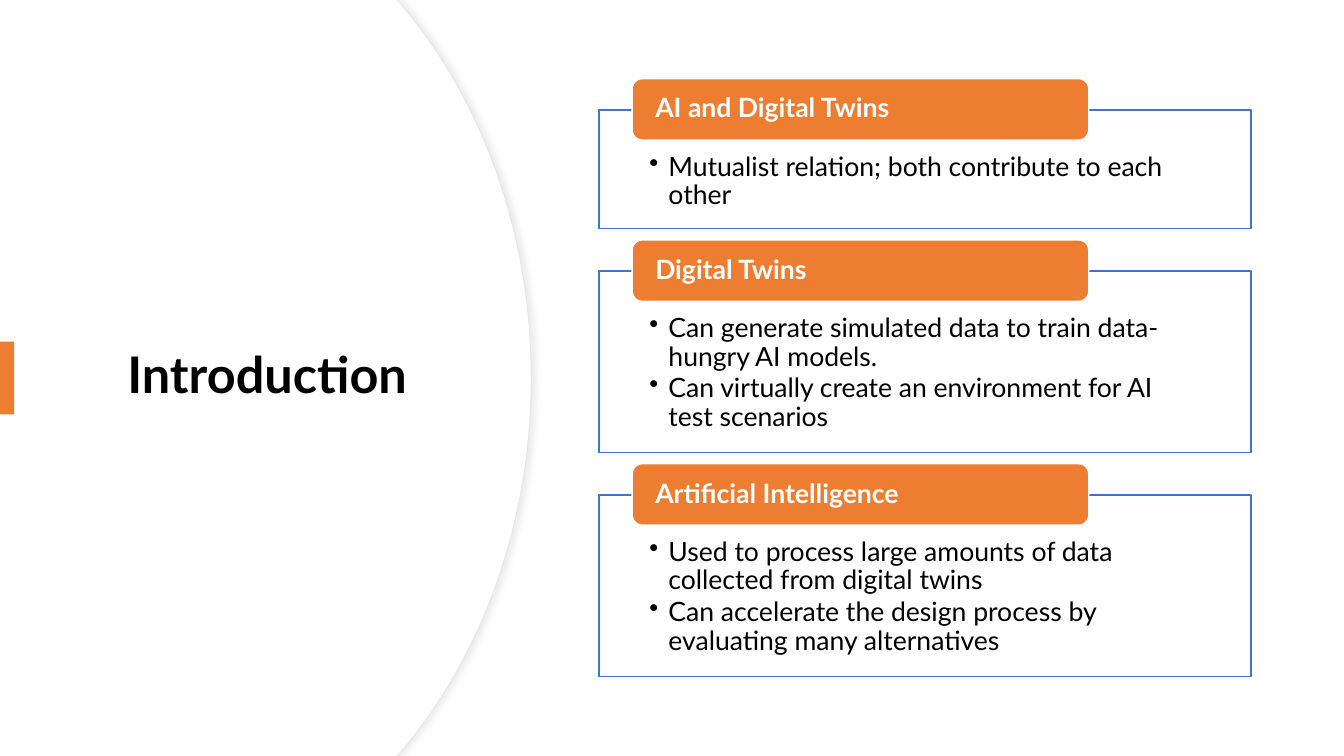
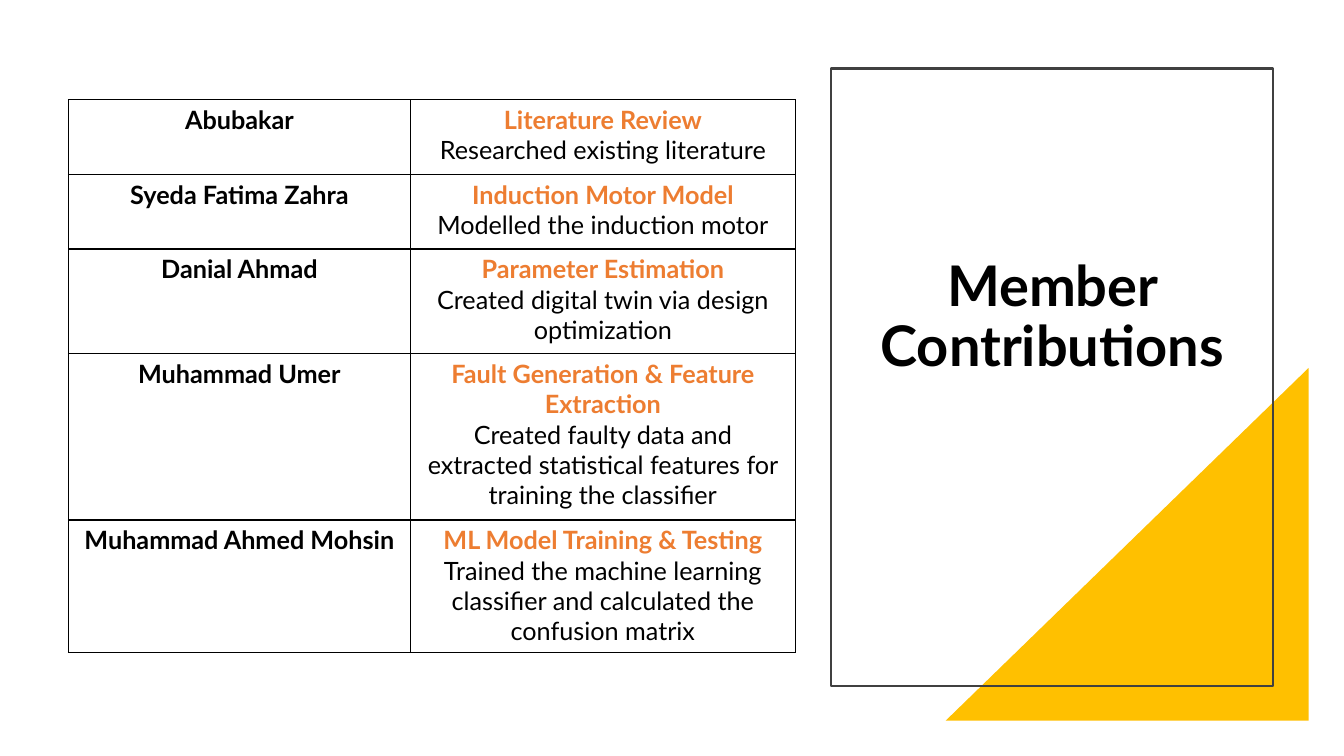
from lxml import etree
from pptx import Presentation
from pptx.dml.color import RGBColor
from pptx.enum import shapes, text
from pptx.oxml import ns
from pptx.util import Inches, Pt

FONT = "Lato"
ORANGE, AMBER, BLUE = "ED7D31", "FFC000", "4472C4"
BLACK, WHITE, GREY = "000000", "FFFFFF", "404040"
EDGE, SHADE = "E6E6E6", "D9D9D9"
SLIDE_W, SLIDE_H = 13.33, 7.5

CARDS = [
    ("AI and Digital Twins", ["Mutualist relation; both contribute to each other"]),
    ("Digital Twins", ["Can generate simulated data to train data-hungry AI models.",
                       "Can virtually create an environment for AI test scenarios"]),
    ("Artificial Intelligence", ["Used to process large amounts of data collected from digital twins",
                                 "Can accelerate the design process by evaluating many alternatives"]),
]
MEMBERS = [
    ("Abubakar", "Literature Review", "Researched existing literature", 0.74),
    ("Syeda Fatima Zahra", "Induction Motor Model", "Modelled the induction motor", 0.74),
    ("Danial Ahmad", "Parameter Estimation", "Created digital twin via design optimization", 1.04),
    ("Muhammad Umer", "Fault Generation & Feature Extraction",
     "Created faulty data and extracted statistical features for training the classifier", 1.65),
    ("Muhammad Ahmed Mohsin", "ML Model Training & Testing",
     "Trained the machine learning classifier and calculated the confusion matrix", 1.31),
]


# Shared helpers
def rgb(value):
    return RGBColor.from_string(value)


def sub(parent, tag, **attrs):
    return etree.SubElement(parent, ns.qn(tag), {k: str(v) for k, v in attrs.items()})


def paint(sp, fill=None, line=None, width=1):
    sp.shadow.inherit = False
    if fill:
        sp.fill.solid()
        sp.fill.fore_color.rgb = rgb(fill)
    else:
        sp.fill.background()
    if line:
        sp.line.color.rgb = rgb(line)
        sp.line.width = Pt(width)
    else:
        sp.line.fill.background()


def add_box(s, kind, box, fill=None, line=None, width=1):
    sp = s.shapes.add_shape(kind, *map(Inches, box))
    paint(sp, fill, line, width)
    return sp


def frame(sp, insets, anchor):
    tf = sp.text_frame
    tf.word_wrap = True
    tf.vertical_anchor = anchor
    tf.margin_left, tf.margin_top, tf.margin_right, tf.margin_bottom = map(Inches, insets)
    return tf


def paragraph(tf, i):
    return tf.add_paragraph() if i else tf.paragraphs[0]


def write(p, words, size, color=BLACK, bold=False, align=text.PP_ALIGN.LEFT, spacing=None):
    p.alignment = align
    if spacing:
        p.line_spacing = spacing
    r = p.add_run()
    r.text = words
    r.font.name, r.font.size, r.font.bold = FONT, Pt(size), bold
    r.font.color.rgb = rgb(color)


def add_title(s, words, box, size):
    sp = s.shapes.add_textbox(*map(Inches, box))
    tf = frame(sp, (0.1, 0.05, 0.1, 0.05), text.MSO_ANCHOR.MIDDLE)
    write(tf.paragraphs[0], words, size, bold=True, align=text.PP_ALIGN.CENTER, spacing=0.9)


# Introduction: curved panel
def add_curve(s, right, line=None):
    """Panel from the left edge, bulging to the given right."""
    curve = [(right - 1.26, 0.08), (right - 0.48, 1.02), (right, 2.32), (right, SLIDE_H / 2)]
    upper = []
    for i in range(25):
        t = i / 24
        weights = ((1 - t) ** 3, 3 * t * (1 - t) ** 2, 3 * t * t * (1 - t), t ** 3)
        upper.append(tuple(sum(w * pt[k] for w, pt in zip(weights, curve)) for k in (0, 1)))
    upper.insert(0, (right - 1.33, 0))
    lower = [(x, SLIDE_H - y) for x, y in reversed(upper[:-1])]
    points = [(Inches(x), Inches(y)) for x, y in upper + lower + [(0, SLIDE_H)]]
    builder = s.shapes.build_freeform(0, 0, scale=1.0)
    builder.add_line_segments(points, close=True)
    sp = builder.convert_to_shape()
    paint(sp, WHITE, line, 0.75)
    return sp


def add_panel(s):
    outer = add_curve(s, 5.27, EDGE)
    effects = outer._element.spPr.find(ns.qn("a:effectLst"))
    shadow = sub(effects, "a:outerShdw", blurRad=Pt(4), dist=Pt(3), dir=0, algn="l", rotWithShape=0)
    sub(sub(shadow, "a:srgbClr", val=SHADE), "a:alpha", val=50000)
    add_curve(s, 5.26)


# Introduction: card with a tab over its top edge
def add_card(s, box, heading, bullets):
    x, y, w, h = box
    body = add_box(s, shapes.MSO_SHAPE.RECTANGLE, box, WHITE, BLUE)
    color = body._element.spPr.find(ns.qn("a:solidFill"))[0]
    sub(color, "a:alpha", val=90000)
    tf = frame(body, (0.5, 0.43, 0.5, 0.15), text.MSO_ANCHOR.TOP)
    for i, words in enumerate(bullets):
        p = paragraph(tf, i)
        pPr = p._p.get_or_add_pPr()
        pPr.set("marL", str(Inches(0.19)))
        pPr.set("indent", str(-Inches(0.19)))
        sub(pPr, "a:buChar", char="•")
        p.space_after = Pt(2)
        write(p, words, 19, spacing=0.9)

    tab = add_box(s, shapes.MSO_SHAPE.ROUNDED_RECTANGLE,
                  (x + 0.33, y - 0.31, w * 0.7, 0.61), ORANGE, WHITE)
    tf = frame(tab, (0.2, 0.03, 0.2, 0.03), text.MSO_ANCHOR.MIDDLE)
    write(tf.paragraphs[0], heading, 19, WHITE, bold=True, spacing=0.9)


def add_cards(s, x, y, w, gap):
    for heading, bullets in CARDS:
        h = 0.56 + 0.62 * len(bullets)
        add_card(s, (x, y, w, h), heading, bullets)
        y += h + gap


def introduction(s):
    add_panel(s)
    add_title(s, "Introduction", (0.68, 1.27, 3.94, 4.95), 36)
    add_box(s, shapes.MSO_SHAPE.RECTANGLE, (0, 3.39, 0.14, 0.72), ORANGE)
    add_cards(s, 5.94, 1.09, 6.47, 0.42)


# Contributions: framed title over a corner triangle
def add_title_frame(s, box):
    x, y, w, h = box
    corner = add_box(s, shapes.MSO_SHAPE.RIGHT_TRIANGLE,
                     (x + w - 3.25, y + h - 3.16, 3.6, 3.5), AMBER)
    corner._element.spPr.find(ns.qn("a:xfrm")).set("flipH", "1")
    add_box(s, shapes.MSO_SHAPE.RECTANGLE, box, line=GREY, width=1.5)
    add_title(s, "Member Contributions", (x, y + 1.07, w, 2.82), 40)


# Contributions: member table
def style_cell(cell):
    tcPr = cell._tc.get_or_add_tcPr()
    for side in ("a:lnL", "a:lnR", "a:lnT", "a:lnB"):
        sub(sub(sub(tcPr, side, w=Pt(1)), "a:solidFill"), "a:srgbClr", val=BLACK)
    cell.fill.background()


def add_member_table(s, x, y, widths):
    heights = [member[-1] for member in MEMBERS]
    box = (x, y, sum(widths), sum(heights))
    table = s.shapes.add_table(len(MEMBERS), len(widths), *map(Inches, box)).table
    table.first_row = table.horz_banding = False
    for column, width in zip(table.columns, widths):
        column.width = Inches(width)
    for row, (name, task, detail, height) in zip(table.rows, MEMBERS):
        row.height = Inches(height)
        contents = [[(name, BLACK, True)], [(task, ORANGE, True), (detail, BLACK, False)]]
        for cell, lines in zip(row.cells, contents):
            style_cell(cell)
            for i, (words, color, bold) in enumerate(lines):
                write(paragraph(cell.text_frame, i), words, 18, color, bold, text.PP_ALIGN.CENTER)


def contributions(s):
    add_title_frame(s, (8.24, 0.68, 4.39, 6.13))
    add_member_table(s, 0.68, 0.99, (3.39, 3.82))


def main():
    prs = Presentation()
    prs.slide_width, prs.slide_height = Inches(SLIDE_W), Inches(SLIDE_H)
    for build in (introduction, contributions):
        build(prs.slides.add_slide(prs.slide_layouts[6]))
    prs.save("out.pptx")


if __name__ == "__main__":
    main()
